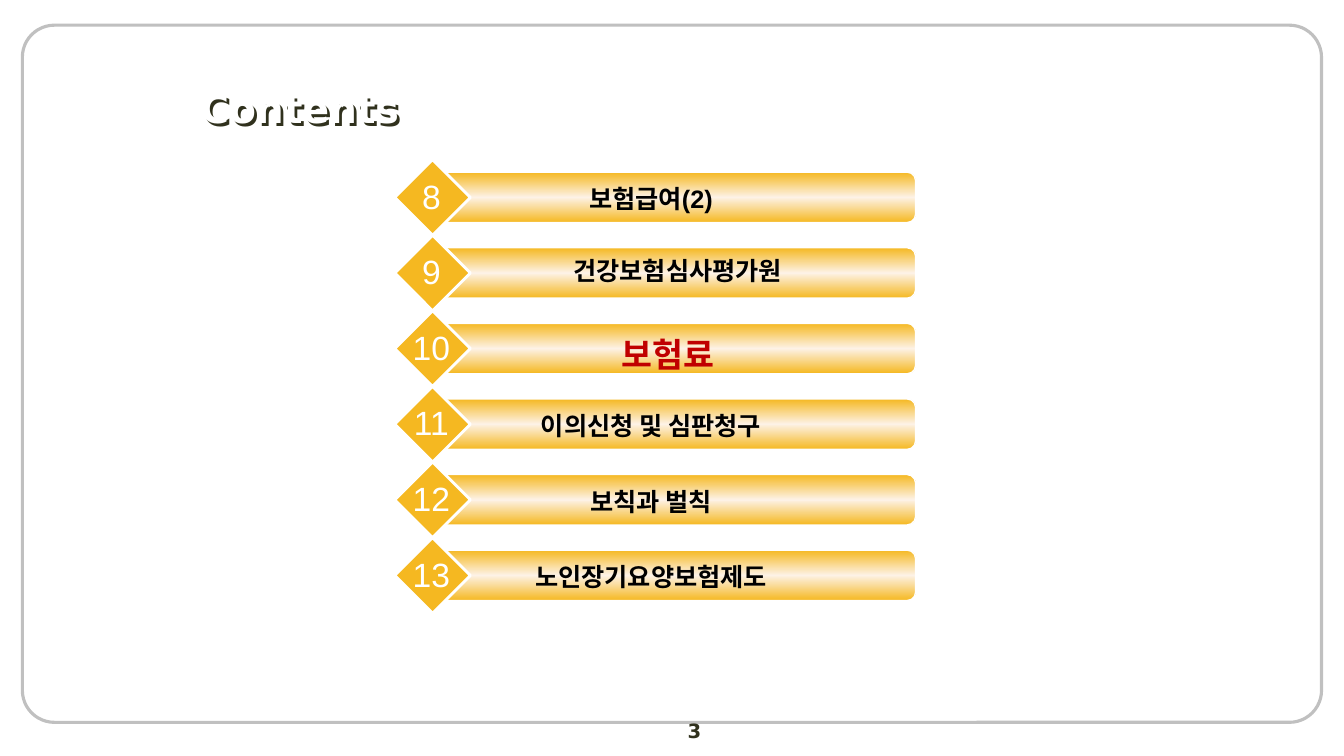
import copy

import lxml.etree
import pptx
import pptx.dml.color
import pptx.enum.shapes
import pptx.enum.text
import pptx.oxml.ns
import pptx.util

Pt = pptx.util.Pt
RGBColor = pptx.dml.color.RGBColor
SHAPE = pptx.enum.shapes.MSO_SHAPE
ALIGN = pptx.enum.text.PP_ALIGN
ANCHOR = pptx.enum.text.MSO_ANCHOR
qn = pptx.oxml.ns.qn

AMBER = RGBColor(0xF5, 0xB8, 0x21)
CREAM = RGBColor(0xFD, 0xF2, 0xE6)
WHITE = RGBColor(0xFF, 0xFF, 0xFF)
BLACK = RGBColor(0, 0, 0)
RED = RGBColor(0xC0, 0, 0)
SILVER = RGBColor(0xC0, 0xC0, 0xC0)
OLIVE = RGBColor(0x30, 0x31, 0x1D)

KOREAN = "Noto Sans CJK KR"
ROW_PITCH = 54
# number, label, label centre and top within the row, size, colour, font
CHAPTERS = [
    ("8", "보험급여(2)", 183, 13.5, 18, BLACK, "Arial"),
    ("9", "건강보험심사평가원", 202, 10.6, 18, BLACK, "Arial"),
    ("10", "보험료", 195, 12.7, 24, RED, KOREAN),
    ("11", "이의신청 및 심판청구", 183, 13.5, 18, BLACK, "Arial"),
    ("12", "보칙과 벌칙", 183, 13.5, 18, BLACK, "Arial"),
    ("13", "노인장기요양보험제도", 183, 13.5, 18, BLACK, "Arial"),
]


def add_outlined(slide, kind, box, line_color, line_width):
    shape = slide.shapes.add_shape(kind, *map(Pt, box))
    shape.shadow.inherit = False
    shape.line.color.rgb = line_color
    shape.line.width = Pt(line_width)
    return shape


def add_text(slide, box, text, size, color, font, bold=False,
             align=ALIGN.CENTER, wrap=True):
    """Add a one-line text box and return it."""
    textbox = slide.shapes.add_textbox(*map(Pt, box))
    frame = textbox.text_frame
    frame.text = text
    frame.word_wrap = wrap
    frame.paragraphs[0].alignment = align
    run = frame.paragraphs[0].runs[0]
    run.font.size = Pt(size)
    run.font.bold = bold
    run.font.name = font
    run.font.color.rgb = color
    east_asian = lxml.etree.SubElement(run.font._element, qn("a:ea"))
    east_asian.set("typeface", KOREAN)
    return textbox


def fill_with_sheen(shape):
    """Fill from amber through cream back to amber, top to bottom."""
    shape.fill.gradient()
    shape.fill.gradient_angle = 90
    first = shape.fill._xPr.find(".//" + qn("a:gs"))
    first.addnext(copy.deepcopy(first))
    stops = zip(shape.fill.gradient_stops, (0, 0.5, 1), (AMBER, CREAM, AMBER))
    for stop, position, color in stops:
        stop.position = position
        stop.color.rgb = color


def add_frame(slide, left, top, width, height):
    frame = add_outlined(slide, SHAPE.ROUNDED_RECTANGLE,
                         (left, top, width, height), SILVER, 2.25)
    frame.adjustments[0] = 0.046
    frame.fill.background()


def add_title(slide, left, top, width, height):
    """Add the white heading; its unfilled box lets the letters cast a shadow."""
    title = add_text(slide, (left, top, width, height), "Contents", 28, WHITE,
                     "DejaVu Sans", bold=True, align=ALIGN.LEFT)
    title.text_frame.vertical_anchor = ANCHOR.MIDDLE
    effects = lxml.etree.SubElement(title._element.spPr, qn("a:effectLst"))
    shadow = lxml.etree.SubElement(effects, qn("a:outerShdw"),
                                   dist=str(Pt(2.83)), dir="2700000",
                                   algn="ctr", rotWithShape="0")
    lxml.etree.SubElement(shadow, qn("a:srgbClr"), val=str(OLIVE))


def add_chapter(slide, left, top, chapter):
    number, label, center, label_top, size, color, font = chapter
    bar = add_outlined(slide, SHAPE.ROUNDED_RECTANGLE,
                       (left + 30, top + 9, 342, 36), WHITE, 1)
    fill_with_sheen(bar)
    diamond = add_outlined(slide, SHAPE.DIAMOND, (left, top, 54, 54), WHITE, 2)
    diamond.fill.solid()
    diamond.fill.fore_color.rgb = AMBER
    add_text(slide, (left + center - 135, top + label_top, 270, size * 1.2 + 7.2),
             label, size, color, font, bold=True)
    add_text(slide, (left + 5.7, top + 7.9, 41, 36), number, 24, WHITE, "Arial",
             wrap=False)


def add_chapters(slide, left, top):
    for index, chapter in enumerate(CHAPTERS):
        add_chapter(slide, left, top + index * ROW_PITCH, chapter)


def main():
    presentation = pptx.Presentation()
    presentation.slide_width = Pt(960)
    presentation.slide_height = Pt(540)
    slide = presentation.slides.add_slide(presentation.slide_layouts[6])
    add_frame(slide, 16, 18, 928, 498)
    add_text(slide, (384, 510, 224, 19.5), "3", 14, OLIVE, "DejaVu Sans",
             bold=True)
    add_title(slide, 136, 56, 768, 42)
    add_chapters(slide, 282, 114)
    presentation.save("out.pptx")


if __name__ == "__main__":
    main()
